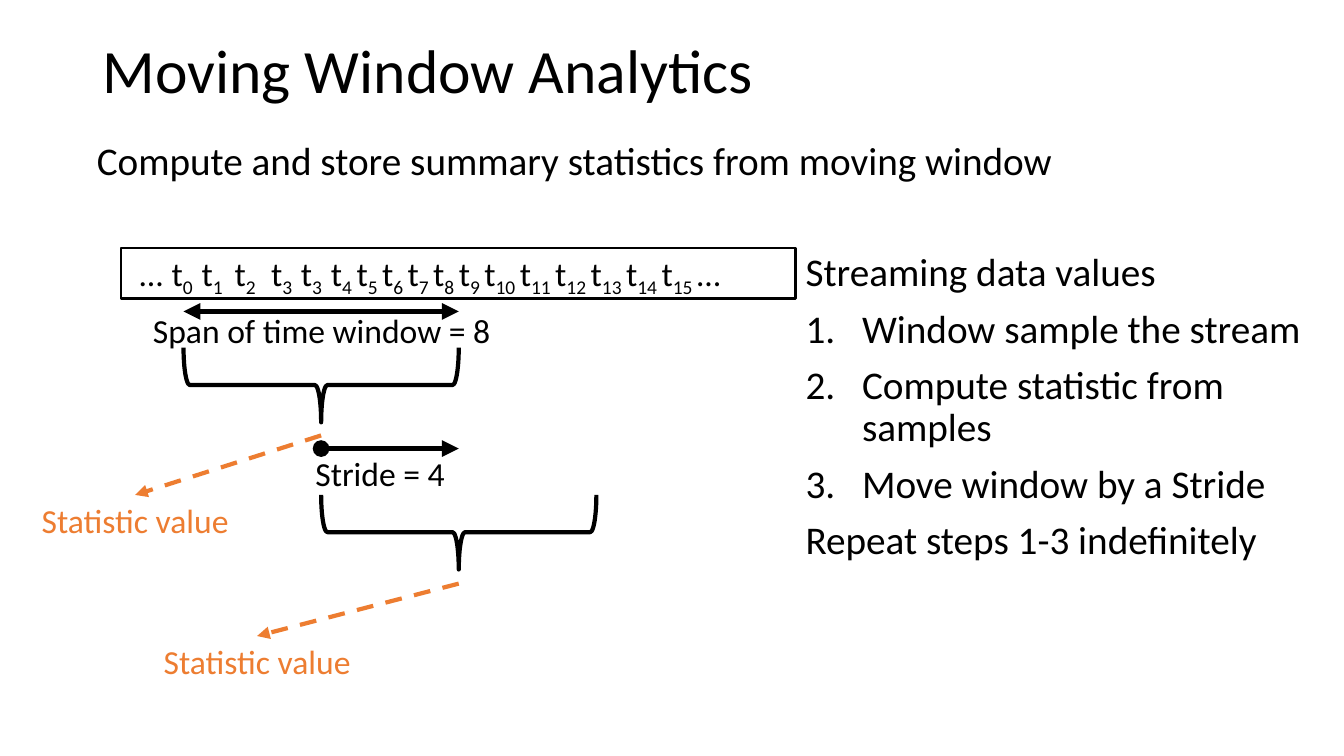
import pptx
import pptx.util
import pptx.dml.color
import pptx.enum.dml
import pptx.enum.shapes
import pptx.enum.text
import pptx.oxml
import pptx.oxml.ns
from dataclasses import dataclass

Inches, Pt = pptx.util.Inches, pptx.util.Pt
RGB = pptx.dml.color.RGBColor
SHAPE = pptx.enum.shapes.MSO_SHAPE
ALIGN = pptx.enum.text.PP_ALIGN
ANCHOR = pptx.enum.text.MSO_ANCHOR
AUTOSIZE = pptx.enum.text.MSO_AUTO_SIZE

# Content
TITLE = "Moving Window Analytics"
SUMMARY = ["Compute and store summary statistics from moving window"]
STEPS = [
    "Streaming data values",
    "Window sample the stream",
    "Compute statistic from samples",
    "Move window by a Stride",
    "Repeat steps 1-3 indefinitely",
]
NUMBERED = STEPS[1:4]
# Base text and subscripts alternate
STREAM = [" ... t", "0  ", "t", "1 ", " t", "2", "  t", "3  ", "t", "3  "]
for i in range(4, 16):
    STREAM += ["t", f"{i} "]
STREAM.append("…")
SPAN_LABEL = "Span of time window = 8"
STRIDE_LABEL = "Stride = 4"
STATISTIC_LABEL = "Statistic value"


@dataclass
class Theme:
    font: str = "Calibri"
    ink: RGB = RGB(0, 0, 0)
    accent: RGB = RGB(0xED, 0x7D, 0x31)
    title: int = 44
    body: int = 28
    label: int = 24


theme = Theme()

# Geometry of the diagram, in inches
WINDOW_LEFT, SPAN = 1.82, 2.73
STRIDE = SPAN / 2
BRACE_TOP, BRACE_DEPTH, BRACE_STEP = 3.45, 0.74, 1.46
LABEL_HEIGHT = 0.5
# Left, top and width of each statistic label, and start height of its arrow
STATISTICS = [(0.14, 4.91, 2.4, 4.32), (1.41, 6.31, 2.28, 5.79)]

prs = pptx.Presentation()
prs.slide_width, prs.slide_height = Inches(13.33), Inches(7.5)
slide = prs.slides.add_slide(prs.slide_layouts[3])


def place(sp, *box):
    sp.left, sp.top, sp.width, sp.height = map(Inches, box)


def style(font, size, color):
    font.name, font.size, font.color.rgb = theme.font, Pt(size), color


def fill_list(sp, lines):
    tf = sp.text_frame
    tf.text = "\n".join(lines)
    tf.auto_size = AUTOSIZE.NONE
    for p in tf.paragraphs:
        p.line_spacing, p.space_before = 0.9, Pt(10)
        style(p.runs[0].font, theme.body, theme.ink)
        numbered = p.text in NUMBERED
        indent = Inches(0.56) if numbered else 0
        pPr = p._p.get_or_add_pPr()
        pPr.set("marL", str(indent))
        pPr.set("indent", str(-indent))
        bullet = pptx.oxml.ns.qn("a:buAutoNum" if numbered else "a:buNone")
        mark = pPr.makeelement(bullet, {"type": "arabicPeriod"} if numbered else {})
        pPr.append(mark)


def add_label(text, left, top, width, color):
    sp = slide.shapes.add_textbox(*map(Inches, (left, top, width, LABEL_HEIGHT)))
    tf = sp.text_frame
    tf.word_wrap = True
    tf.text = text
    p = tf.paragraphs[0]
    p.alignment = ALIGN.CENTER
    style(p.runs[0].font, theme.label, color)
    return sp


def add_outline(kind, left, top, width, height, weight):
    sp = slide.shapes.add_shape(kind, *map(Inches, (left, top, width, height)))
    sp.shadow.inherit = False
    sp.fill.background()
    sp.line.color.rgb, sp.line.width = theme.ink, Pt(weight)
    return sp


def add_arrow(start, end, color, weight, head=None, dashed=False):
    c = slide.shapes.add_connector(
        pptx.enum.shapes.MSO_CONNECTOR.STRAIGHT, *map(Inches, start + end))
    c.line.color.rgb, c.line.width = color, Pt(weight)
    if dashed:
        c.line.dash_style = pptx.enum.dml.MSO_LINE.DASH
    ln = c.line._get_or_add_ln()
    for tag, kind in (("a:headEnd", head), ("a:tailEnd", "triangle")):
        if kind:
            ln.append(ln.makeelement(pptx.oxml.ns.qn(tag), {"type": kind}))
    spPr = c._element.spPr
    spPr.append(spPr.makeelement(pptx.oxml.ns.qn("a:effectLst"), {}))
    return c


# Title and lists
title, summary, steps = slide.placeholders
place(title, 0.92, 0, 11.5, 1.45)
tf = title.text_frame
tf.text = TITLE
tf.auto_size, tf.vertical_anchor = AUTOSIZE.NONE, ANCHOR.MIDDLE
p = tf.paragraphs[0]
p.alignment, p.line_spacing = ALIGN.LEFT, 0.9
style(p.runs[0].font, theme.title, theme.ink)
place(summary, 0.86, 1.35, 11.5, 0.77)
fill_list(summary, SUMMARY)
place(steps, 7.89, 2.46, 5.3, 4.71)
fill_list(steps, STEPS)

# Stream of values
stream = add_outline(SHAPE.RECTANGLE, 1.2, 2.46, 6.69, 0.5, 2)
tf = stream.text_frame
tf.word_wrap, tf.vertical_anchor = True, ANCHOR.TOP
p = tf.paragraphs[0]
p.alignment = ALIGN.LEFT
for i, text in enumerate(STREAM):
    r = p.add_run()
    r.text = text
    style(r.font, theme.label, theme.ink)
    if i % 2:
        r.font._element.set("baseline", "-25000")

# Each window: a brace turned to point down, and the statistic it yields
for i, (left, top, width, start_y) in enumerate(STATISTICS):
    center_x = WINDOW_LEFT + SPAN / 2 + i * STRIDE
    center_y = BRACE_TOP + BRACE_DEPTH / 2 + i * BRACE_STEP
    brace = add_outline(SHAPE.RIGHT_BRACE, center_x - BRACE_DEPTH / 2,
                        center_y - SPAN / 2, BRACE_DEPTH, SPAN, 3)
    brace.rotation = 90
    label = add_label(STATISTIC_LABEL, left, top, width, theme.accent)
    arrow = add_arrow((center_x, start_y), (left + width / 2, top),
                      theme.accent, 3, dashed=True)
    arrow.end_connect(label, 0)

# Span and stride
window_right = WINDOW_LEFT + SPAN
add_arrow((WINDOW_LEFT, 3.09), (window_right, 3.09), theme.ink, 4, head="triangle")
add_label(SPAN_LABEL, 1.35, 3.03, 3.68, theme.ink)
add_arrow((window_right - STRIDE, 4.45), (window_right, 4.45), theme.ink, 4, head="oval")
add_label(STRIDE_LABEL, 2.63, 4.44, 2.28, theme.ink)

prs.save("out.pptx")
